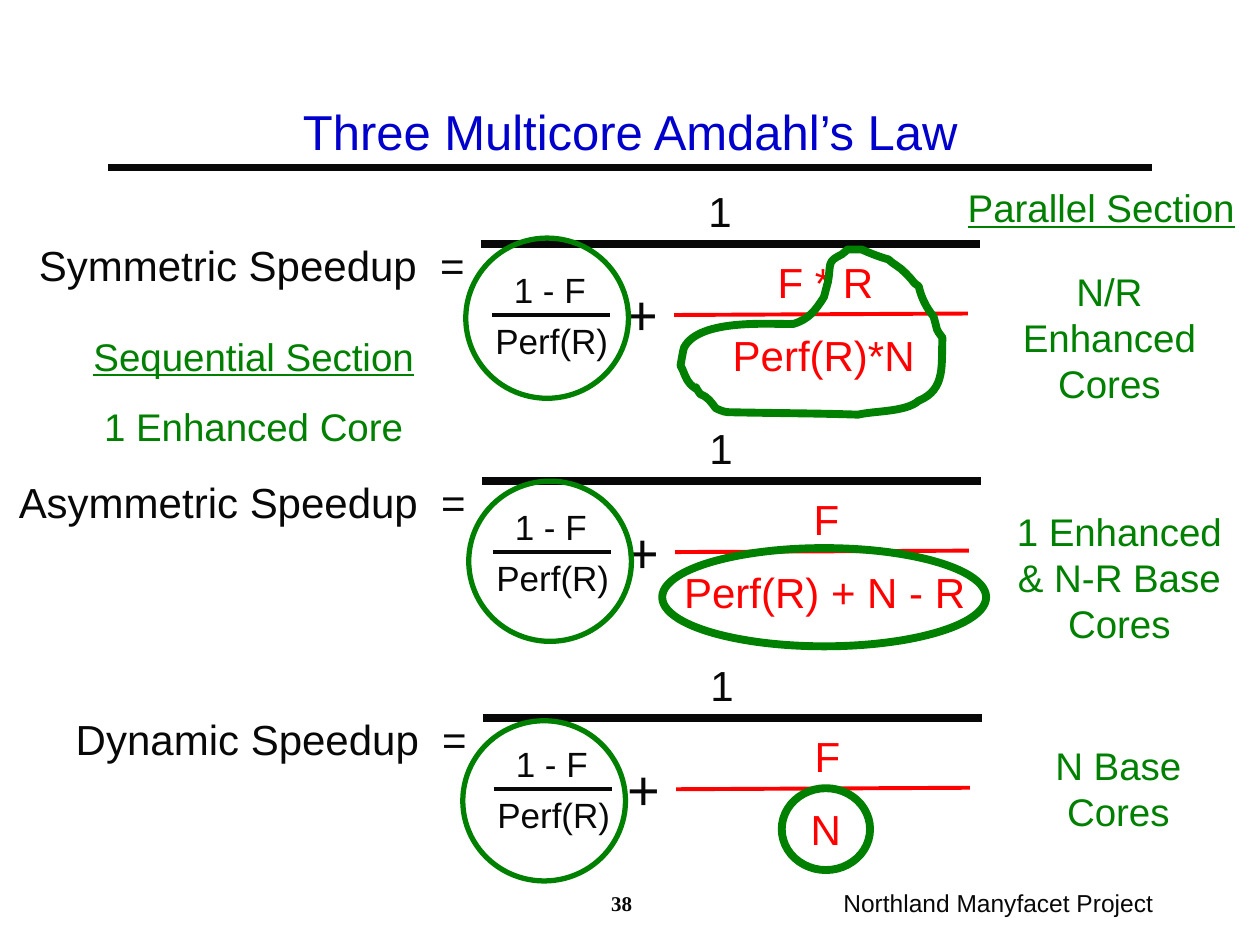
from dataclasses import dataclass
from typing import Any

from lxml.etree import SubElement
from pptx import Presentation
from pptx.dml.color import RGBColor
from pptx.enum.shapes import MSO_CONNECTOR, MSO_SHAPE
from pptx.enum.text import MSO_ANCHOR, MSO_AUTO_SIZE, PP_ALIGN
from pptx.oxml.ns import qn
from pptx.util import Cm, Pt

COLOURS = {"ink": "080808", "title": "0000CC", "parallel": "FF0000", "core": "008000"}
ROW_PITCH, ROW_DRIFT = 4.78, 0.02


@dataclass(frozen=True)
class Label:
    """A text with its box in centimetres."""
    text: str
    left: float
    top: float
    width: float
    height: float
    size: float = 24
    colour: str = "ink"
    align: PP_ALIGN = PP_ALIGN.CENTER
    font: str = "Arial"
    bold: bool = False
    underlined: bool = False


@dataclass(frozen=True)
class Rule:
    """A straight line between two points in centimetres."""
    x1: float
    y1: float
    x2: float
    y2: float
    width: float
    colour: str = "ink"


@dataclass(frozen=True)
class Ring:
    """An unfilled ellipse around a term."""
    left: float
    top: float
    width: float
    height: float
    line: float


@dataclass(frozen=True)
class Law:
    """The parts in which the three speedup formulas differ."""
    name: str
    numerator: str
    denominator: str


def colour_of(name: str) -> RGBColor:
    """Look up a colour by its role."""
    return RGBColor.from_string(COLOURS[name])


def fill_text(frame: Any, label: Label) -> None:
    """Write and format each line of a label as a paragraph."""
    frame.text = label.text
    frame.word_wrap = True
    font_format = {"size": Pt(label.size), "name": label.font, "bold": label.bold}
    for number, paragraph in enumerate(frame.paragraphs):
        paragraph.alignment = label.align
        for run in paragraph.runs:
            for attribute, value in font_format.items():
                setattr(run.font, attribute, value)
            run.font.underline = label.underlined and number == 0
            run.font.color.rgb = colour_of(label.colour)


def add_label(shapes: Any, label: Label, dx: float = 0, dy: float = 0) -> None:
    """Add a text box, shifted by dx and dy."""
    box = shapes.add_textbox(Cm(label.left + dx), Cm(label.top + dy),
                             Cm(label.width), Cm(label.height))
    fill_text(box.text_frame, label)
    box.text_frame.auto_size = MSO_AUTO_SIZE.SHAPE_TO_FIT_TEXT
    for paragraph in box.text_frame.paragraphs:
        paragraph.space_before = Pt(round(label.size * 0.625, 1))


def add_rule(shapes: Any, rule: Rule, dx: float = 0, dy: float = 0) -> None:
    """Add a line without shadow, shifted by dx and dy."""
    line = shapes.add_connector(MSO_CONNECTOR.STRAIGHT, Cm(rule.x1 + dx), Cm(rule.y1 + dy),
                                Cm(rule.x2 + dx), Cm(rule.y2 + dy))
    line.line.color.rgb = colour_of(rule.colour)
    line.line.width = Pt(rule.width)
    SubElement(line.element.spPr, qn("a:effectLst"))


def outline(shape: Any, width: float) -> None:
    """Leave only a green outline on a shape."""
    shape.shadow.inherit = False
    shape.fill.background()
    shape.line.color.rgb = colour_of("core")
    shape.line.width = Pt(width)


def add_ring(shapes: Any, ring: Ring) -> None:
    """Add an ellipse around a term."""
    shape = shapes.add_shape(MSO_SHAPE.OVAL, Cm(ring.left), Cm(ring.top),
                             Cm(ring.width), Cm(ring.height))
    outline(shape, ring.line)


def add_law(shapes: Any, law: Law, row: int) -> None:
    """Add one speedup formula as a group."""
    group = shapes.add_group_shape().shapes
    shift = (row * ROW_DRIFT, row * ROW_PITCH)
    for label in (
        Label(law.name, -0.24, 4.7, 9.86, 1.27, align=PP_ALIGN.RIGHT),
        Label("1", 13.32, 3.61, 2.39, 1.27),
        Label("+", 11.74, 5.52, 2.39, 1.63, 32),
        Label("1 - F", 9.89, 5.28, 2.39, 1.12, 20),
        Label("Perf(R)", 9.26, 6.32, 3.73, 1.12, 20),
        Label(law.numerator, 15.14, 5.05, 3, 1.27, colour="parallel"),
        Label(law.denominator, 13.24, 6.52, 6.73, 1.27, colour="parallel"),
    ):
        add_label(group, label, *shift)
    for rule in (
        Rule(9.69, 4.92, 19.76, 4.92, 4.5),
        Rule(9.91, 6.35, 12.3, 6.35, 2.25),
        Rule(13.59, 6.35, 19.51, 6.32, 2.25, "parallel"),
    ):
        add_rule(group, rule, *shift)


def add_loop(shapes: Any, start: tuple, curves: tuple) -> None:
    """Add a closed hand-drawn loop whose segments are cubic curves."""
    builder = shapes.build_freeform(Cm(start[0]), Cm(start[1]))
    builder.add_line_segments([(Cm(curve[4]), Cm(curve[5])) for curve in curves], close=False)
    loop = builder.convert_to_shape()
    segments = list(loop.element.iter(qn("a:lnTo")))
    outlined = segments[0].getparent()
    for segment, curve in zip(segments, curves):
        outlined.remove(segment)
        bend = SubElement(outlined, qn("a:cubicBezTo"))
        for x, y in zip(curve[::2], curve[1::2]):
            SubElement(bend, qn("a:pt"), x=str(Cm(x) - loop.left), y=str(Cm(y) - loop.top))
    SubElement(outlined, qn("a:close"))
    outline(loop, 4.5)


LAWS = (
    Law("Symmetric Speedup  =", "F * R", "Perf(R)*N"),
    Law("Asymmetric Speedup  =", "F", "Perf(R) + N - R"),
    Law("Dynamic Speedup  =", "F", "N"),
)
PARALLEL_NOTES = (
    Label("N/R Enhanced Cores", 19.8, 5.28, 5.13, 3.05, 22, "core"),
    Label("Parallel Section", 19.05, 3.59, 6.3, 1.19, 22, "core", underlined=True),
    Label("N Base Cores", 19.98, 14.84, 5.13, 2.13, 22, "core"),
    Label("1 Enhanced & N-R Base Cores", 20, 10.11, 5.13, 3.05, 22, "core"),
)
SEQUENTIAL_NOTE = Label("Sequential Section\n1 Enhanced Core", 1.51, 6.58, 7.21, 2.62,
                        22, "core", underlined=True)
SEQUENTIAL_RINGS = tuple(Ring(left, top, 3.28, 3.23, 3)
                         for left, top in ((9.39, 4.8), (9.45, 9.7), (9.33, 14.53)))
PARALLEL_RINGS = (Ring(13.35, 11.05, 6.53, 1.98, 4.5), Ring(15.76, 15.89, 1.78, 1.65, 4.5))
LOOP_START = (17.37, 5.03)
LOOP_CURVES = (
    (17.55, 5.11, 17.73, 5.18, 17.91, 5.23), (18.01, 5.33, 18.14, 5.38, 18.24, 5.49),
    (18.29, 5.54, 18.36, 5.61, 18.42, 5.69), (18.44, 5.72, 18.52, 5.77, 18.52, 5.77),
    (18.57, 5.99, 18.67, 6.2, 18.82, 6.38), (18.92, 6.73, 18.85, 6.6, 19, 6.81),
    (18.97, 7.34, 19.08, 7.85, 18.52, 8.08), (18.26, 8.31, 17.63, 8.28, 17.3, 8.36),
    (16.43, 8.33, 15.54, 8.33, 14.68, 8.31), (14.58, 8.31, 14.43, 8.23, 14.43, 8.23),
    (14.33, 8.1, 14.27, 8, 14.12, 7.95), (13.89, 7.62, 14.2, 8, 13.92, 7.75),
    (13.82, 7.65, 13.79, 7.49, 13.72, 7.37), (13.72, 7.37, 13.77, 7.06, 13.79, 7.01),
    (14.1, 6.4, 15.62, 6.55, 16, 6.53), (16.31, 6.43, 16.43, 6.27, 16.61, 5.99),
    (16.64, 5.89, 16.66, 5.79, 16.69, 5.69), (16.76, 5.31, 16.66, 5.28, 16.97, 5.13),
    (17.02, 5.11, 17.04, 5.05, 17.09, 5.03), (17.2, 5.03, 17.27, 5.03, 17.37, 5.03),
)
HEADING = Label("Three Multicore Amdahl’s Law", 1.91, 1.69, 21.59, 1.91, 28, "title")
FOOTER = (
    Label("38", 12.07, 17.83, 3.61, 0.84, 12, align=PP_ALIGN.LEFT,
          font="Times New Roman", bold=True),
    Label("Northland Manyfacet Project", 16.08, 17.78, 7.42, 0.84, 14, align=PP_ALIGN.RIGHT),
)

deck = Presentation()
deck.slide_width, deck.slide_height = Cm(25.4), Cm(19.05)
slide = deck.slides.add_slide(deck.slide_layouts[5])
shapes = slide.shapes

heading = shapes.title
for side in ("left", "top", "width", "height"):
    setattr(heading, side, Cm(getattr(HEADING, side)))
fill_text(heading.text_frame, HEADING)
heading.text_frame.vertical_anchor = MSO_ANCHOR.MIDDLE

add_rule(shapes, Rule(2.18, 3.38, 23.22, 3.38, 4))
for row, law in enumerate(LAWS):
    add_law(shapes, law, row)
for label in FOOTER + PARALLEL_NOTES:
    add_label(shapes, label)
sequential = shapes.add_group_shape().shapes
add_label(sequential, SEQUENTIAL_NOTE)
for ring in SEQUENTIAL_RINGS:
    add_ring(sequential, ring)
for ring in PARALLEL_RINGS:
    add_ring(shapes, ring)
add_loop(shapes, LOOP_START, LOOP_CURVES)
deck.save("out.pptx")
